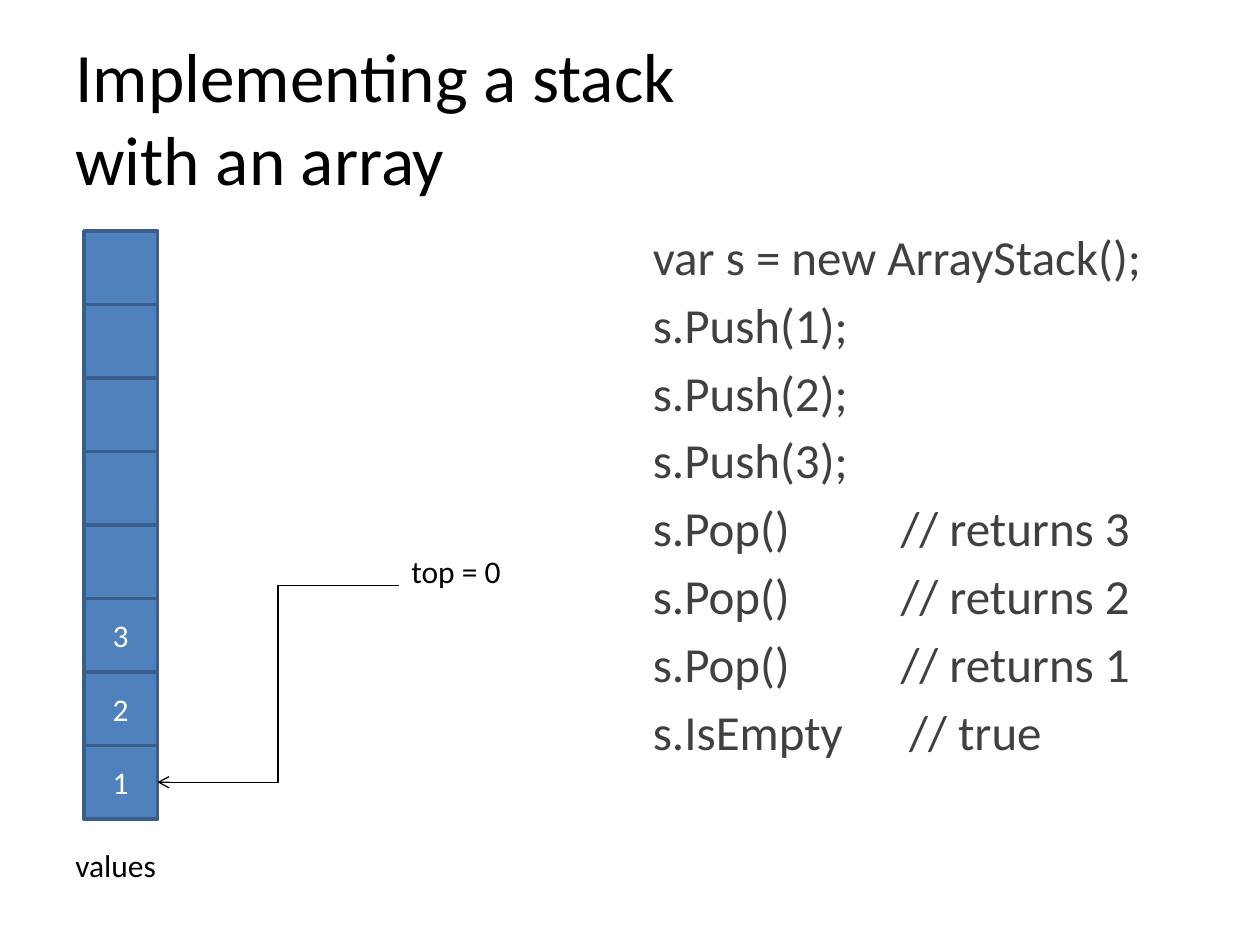
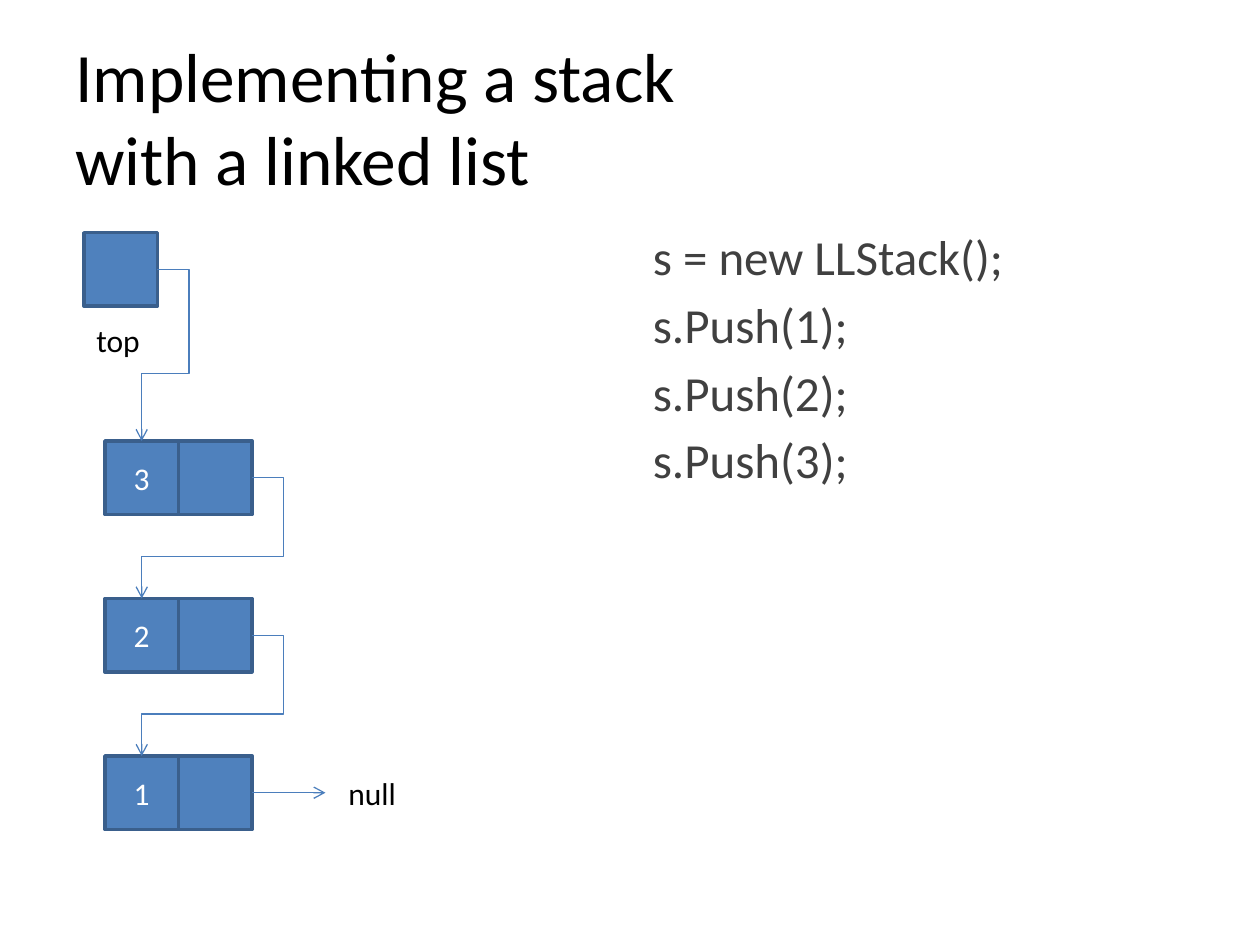
from lxml import etree
from pptx import Presentation
from pptx.dml.color import RGBColor
from pptx.enum.shapes import MSO_CONNECTOR, MSO_SHAPE
from pptx.enum.text import MSO_ANCHOR, PP_ALIGN
from pptx.oxml.ns import qn
from pptx.util import Pt

ELBOW, STRAIGHT = MSO_CONNECTOR.ELBOW, MSO_CONNECTOR.STRAIGHT
RECT = MSO_SHAPE.RECTANGLE
TOP, MIDDLE = MSO_ANCHOR.TOP, MSO_ANCHOR.MIDDLE
LEFT, CENTER = PP_ALIGN.LEFT, PP_ALIGN.CENTER
SITE_TOP, SITE_LEFT, SITE_RIGHT = 0, 1, 3

BLACK = RGBColor(0x00, 0x00, 0x00)
WHITE = RGBColor(0xFF, 0xFF, 0xFF)
CODE_GRAY = RGBColor(0x40, 0x40, 0x40)
CELL_FILL = RGBColor(0x4F, 0x81, 0xBD)
CELL_EDGE = RGBColor(0x3A, 0x5F, 0x8C)
LINK_BLUE = RGBColor(0x4B, 0x7E, 0xBC)

FONT = "Calibri"
CELL = 42
LINK_OUT = 18


def write(tf, text, size=18, color=BLACK, align=LEFT, anchor=TOP, wrap=False, gap=0, tabs=None):
    tf.word_wrap = wrap
    tf.vertical_anchor = anchor
    for i, line in enumerate(text.split("\n")):
        p = tf.add_paragraph() if i else tf.paragraphs[0]
        p.text = line
        p.alignment = align
        p.space_before = Pt(gap if i else 0)
        for r in p.runs:
            r.font.name = FONT
            r.font.size = Pt(size)
            r.font.color.rgb = color
        if tabs and i in tabs:
            tab_list = etree.SubElement(p._p.get_or_add_pPr(), qn("a:tabLst"))
            etree.SubElement(tab_list, qn("a:tab"), pos=str(Pt(tabs[i])), algn="l")


def add_text(s, text, x, y, w, h, **style):
    sp = s.shapes.add_textbox(Pt(x), Pt(y), Pt(w), Pt(h))
    write(sp.text_frame, text, **style)
    return sp


def add_cell(s, x, y, value=""):
    sp = s.shapes.add_shape(RECT, Pt(x), Pt(y), Pt(CELL), Pt(CELL))
    sp.shadow.inherit = False
    sp.fill.solid()
    sp.fill.fore_color.rgb = CELL_FILL
    sp.line.color.rgb = CELL_EDGE
    sp.line.width = Pt(2)
    if value:
        write(sp.text_frame, value, color=WHITE, align=CENTER, anchor=MIDDLE, wrap=True)
    return sp


def add_arrow(s, kind, source, site, end=(0, 0), target=None, target_site=None, color=LINK_BLUE):
    cxn = s.shapes.add_connector(kind, 0, 0, Pt(end[0]), Pt(end[1]))
    cxn.begin_connect(source, site)
    if target is not None:
        cxn.end_connect(target, target_site)
    cxn.line.color.rgb = color
    cxn.line.width = Pt(0.75)
    etree.SubElement(cxn.line._get_or_add_ln(), qn("a:tailEnd"), type="arrow")
    etree.SubElement(cxn._element.spPr, qn("a:effectLst"))
    return cxn


def add_link(s, source, target):
    cxn = add_arrow(s, ELBOW, source, SITE_RIGHT, target=target, target_site=SITE_TOP)
    bend_y = (source.top + source.height + target.top) / 2
    bends = {
        "adj1": -Pt(LINK_OUT) / cxn.width,
        "adj2": (bend_y - cxn.begin_y) / cxn.height,
    }
    geom = cxn._element.spPr.find(qn("a:prstGeom"))
    geom.set("prst", "bentConnector4")
    guides = geom.find(qn("a:avLst"))
    if guides is None:
        guides = etree.SubElement(geom, qn("a:avLst"))
    for name, ratio in bends.items():
        etree.SubElement(guides, qn("a:gd"), name=name, fmla=f"val {round(ratio * 100000)}")


def add_stack_slide(prs, title, code, tabs=None):
    s = prs.slides.add_slide(prs.slide_layouts[6])
    add_text(s, title, 36, 21.6, 648, 90, size=39.6, anchor=MIDDLE, wrap=True)
    add_text(s, code, 366, 126, 354, 356.4, size=28, color=CODE_GRAY, wrap=True, gap=5.1, tabs=tabs)
    return s


def array_slide(prs):
    code = """var s = new ArrayStack();
s.Push(1);
s.Push(2);
s.Push(3);
s.Pop()\t// returns 3
s.Pop()\t// returns 2
s.Pop()\t// returns 1
s.IsEmpty\t// true"""
    tabs = {4: 141.5, 5: 141.5, 6: 141.5, 7: 146.5}
    s = add_stack_slide(prs, "Implementing a stack\vwith an array", code, tabs)
    values = [""] * 5 + ["3", "2", "1"]
    cells = [add_cell(s, 48, 132 + i * CELL, value) for i, value in enumerate(values)]
    add_text(s, "values", 36, 480, 61, 29)
    top = add_text(s, "top = 0", 228, 311.75, 106.5, 46)
    add_arrow(s, ELBOW, top, SITE_LEFT, target=cells[-1], target_site=SITE_RIGHT, color=BLACK)


def linked_list_slide(prs):
    code = """s = new LLStack();
s.Push(1);
s.Push(2);
s.Push(3);"""
    s = add_stack_slide(prs, "Implementing a stack\vwith a linked list", code)
    pointer = add_cell(s, 48, 133)
    add_text(s, "top", 48, 180, 39.5, 29)
    for i, value in enumerate("321"):
        y = 252 + i * 90
        node = add_cell(s, 60, y, value)
        add_link(s, pointer, node)
        pointer = add_cell(s, 60 + CELL, y)
    add_arrow(s, STRAIGHT, pointer, SITE_RIGHT, end=(186, y + CELL / 2))
    add_text(s, "null", 192, 438.5, 42, 29)


def main():
    prs = Presentation()
    prs.slide_width, prs.slide_height = Pt(720), Pt(540)
    array_slide(prs)
    linked_list_slide(prs)
    prs.save("out.pptx")


if __name__ == "__main__":
    main()
